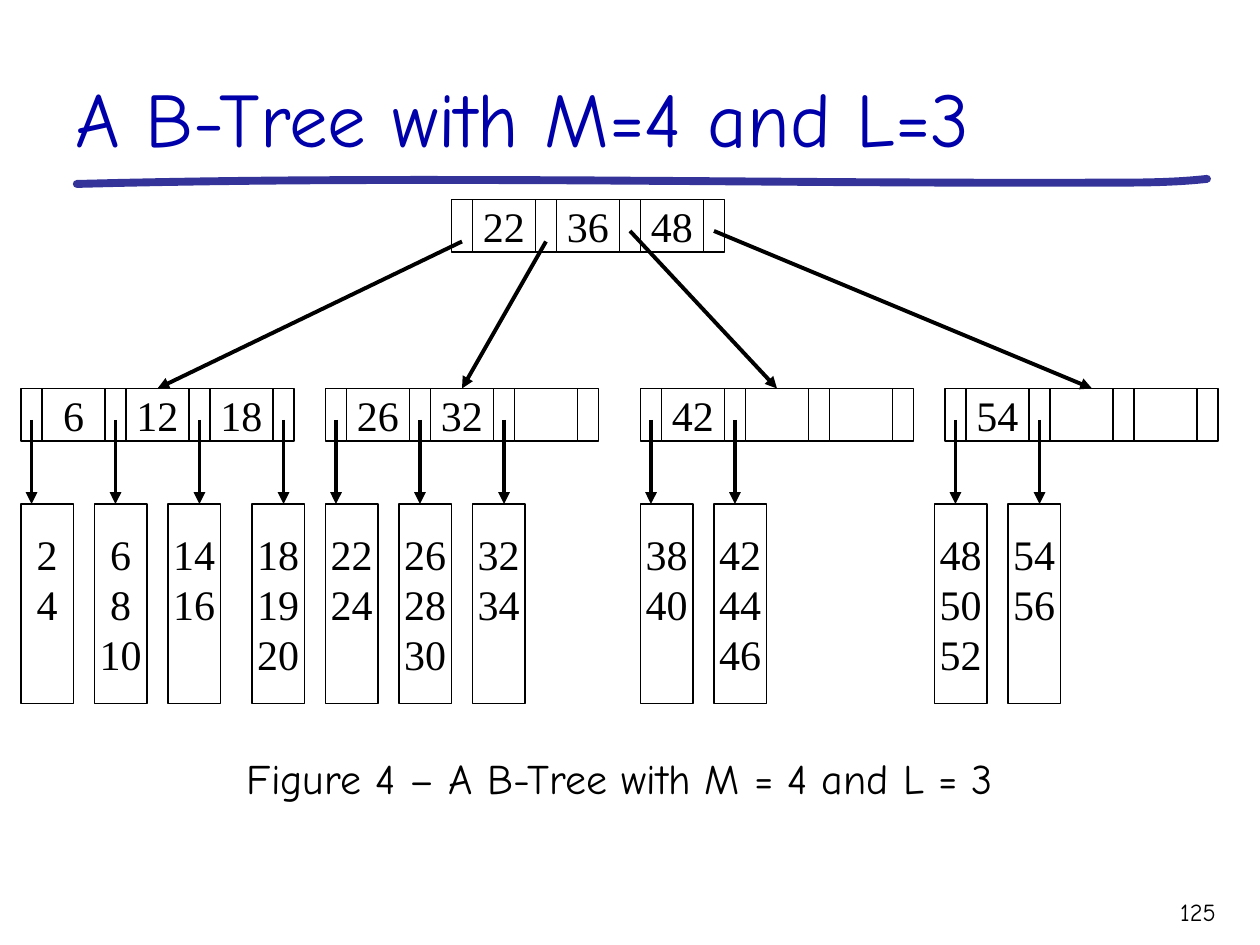
"""Build a slide showing a B-tree with M=4 and L=3."""
import pptx
import pptx.dml.color
import pptx.enum.shapes
import pptx.enum.text
import pptx.oxml
import pptx.oxml.ns
import pptx.util

Inches = pptx.util.Inches
ALIGN = pptx.enum.text.PP_ALIGN
ANCHOR = pptx.enum.text.MSO_ANCHOR

BLACK = "000000"
TITLE_FONT = "Comic Neue"
KEY_FONT = "Times New Roman"
POINTER_WIDTH, KEY_WIDTH, NODE_HEIGHT = 2, 6, 5
STEP = POINTER_WIDTH + KEY_WIDTH
ROOT_LEFT, ROOT_TOP, NODE_TOP = 43, 19, 37
LEAF_TOP, LEAF_WIDTH, LEAF_HEIGHT = 48, 5, 19
ROOT_KEYS = ["22", "36", "48"]
ROOT_ARROWS = [(23, 15), (23, 44), (22, 74), (22, 104)]
NODES = [
    (2, ["6", "12", "18"], [(2, "2\n4"), (9, "6\n8\n10"), (16, "14\n16"), (24, "18\n19\n20")]),
    (31, ["26", "32", ""], [(31, "22\n24"), (38, "26\n28\n30"), (45, "32\n34")]),
    (61, ["42", "", ""], [(61, "38\n40"), (68, "42\n44\n46")]),
    (90, ["54", "", ""], [(89, "48\n50\n52"), (96, "54\n56")]),
]


def color(value):
    """Return the colour for a hex string."""
    return pptx.dml.color.RGBColor.from_string(value)


def grid(units):
    """Return the length of a number of twelfths of an inch."""
    return Inches(units / 12)


def format_text(text_frame, text, font, size, hex_color, align, spacing=None):
    """Fill a text frame and format its paragraphs."""
    text_frame.text = text
    for paragraph in text_frame.paragraphs:
        paragraph.alignment = align
        if spacing:
            paragraph.line_spacing = pptx.util.Pt(spacing)
        for run in paragraph.runs:
            run.font.name = font
            run.font.size = pptx.util.Pt(size)
            run.font.color.rgb = color(hex_color)


def add_text(slide, box, text, size, hex_color, align, anchor=ANCHOR.TOP):
    """Add a wrapped text box in the title font."""
    text_frame = slide.shapes.add_textbox(*map(Inches, box)).text_frame
    text_frame.word_wrap = True
    text_frame.vertical_anchor = anchor
    format_text(text_frame, text, TITLE_FONT, size, hex_color, align)


def add_cell(slide, left, top, width, height, text="", anchor=ANCHOR.MIDDLE):
    """Add an outlined rectangle with optional keys, placed on the grid."""
    shape = slide.shapes.add_shape(
        pptx.enum.shapes.MSO_SHAPE.RECTANGLE, *map(grid, (left, top, width, height)))
    shape.shadow.inherit = False
    shape.fill.background()
    shape.line.color.rgb = color(BLACK)
    shape.line.width = pptx.util.Pt(0.75)
    if text:
        shape.text_frame.word_wrap = False
        shape.text_frame.vertical_anchor = anchor
        format_text(shape.text_frame, text, KEY_FONT, 24, BLACK, ALIGN.CENTER, 28.5)
    return shape


def add_node(slide, left, top, keys):
    """Add a node of alternating pointer and key cells."""
    for index, key in enumerate(keys):
        cell_left = left + STEP * index
        add_cell(slide, cell_left + POINTER_WIDTH, top, KEY_WIDTH, NODE_HEIGHT, key)
        add_cell(slide, cell_left, top, POINTER_WIDTH, NODE_HEIGHT)
    add_cell(slide, left + STEP * len(keys), top, POINTER_WIDTH, NODE_HEIGHT)


def add_leaf(slide, left, keys):
    """Add a leaf whose keys fill it from the first of three rows."""
    leaf = add_cell(slide, left, LEAF_TOP, LEAF_WIDTH, LEAF_HEIGHT, keys, ANCHOR.TOP)
    leaf.text_frame.margin_top = Inches(0.2)


def add_arrow(slide, start_x, start_y, end_x, end_y):
    """Add an arrow between two grid points."""
    arrow = slide.shapes.add_connector(
        pptx.enum.shapes.MSO_CONNECTOR.STRAIGHT, *map(grid, (start_x, start_y, end_x, end_y)))
    arrow.line.color.rgb = color(BLACK)
    arrow.line.width = pptx.util.Pt(2.25)
    head = pptx.oxml.parse_xml(
        f'<a:tailEnd {pptx.oxml.ns.nsdecls("a")} type="triangle"/>')
    arrow.line._get_or_add_ln().append(head)
    effects = pptx.oxml.parse_xml(f'<a:effectLst {pptx.oxml.ns.nsdecls("a")}/>')
    arrow._element.spPr.append(effects)


def curve_points(start, first, second, end, count=24):
    """Return points along a cubic curve, after its start, as lengths."""
    points = []
    for step in range(1, count + 1):
        t = step / count
        weights = ((1 - t) ** 3, 3 * t * (1 - t) ** 2, 3 * t * t * (1 - t), t ** 3)
        points.append(tuple(
            Inches(sum(weight * value for weight, value in zip(weights, values)))
            for values in zip(start, first, second, end)))
    return points


def add_underline(slide):
    """Add the hand-drawn rule below the title."""
    start, bend, end = (0.61, 1.46), (8.76, 1.45), (9.58, 1.42)
    points = curve_points(start, (3.33, 1.39), (6.05, 1.46), bend)
    points += curve_points(bend, (9.04, 1.45), (9.31, 1.45), end)
    builder = slide.shapes.build_freeform(*map(Inches, start))
    builder.add_line_segments(points, close=False)
    shape = builder.convert_to_shape()
    shape.shadow.inherit = False
    shape.fill.background()
    shape.line.color.rgb = color("333399")
    shape.line.width = pptx.util.Pt(4.5)
    outline = shape.line._get_or_add_ln()
    outline.set("cap", "rnd")
    outline.append(pptx.oxml.parse_xml(f'<a:round {pptx.oxml.ns.nsdecls("a")}/>'))


def main():
    """Build and save the slide."""
    presentation = pptx.Presentation()
    presentation.slide_width = Inches(10)
    presentation.slide_height = Inches(7.5)
    slide = presentation.slides.add_slide(presentation.slide_layouts[6])

    add_underline(slide)
    add_text(slide, (0.5, 0.17, 9.25, 1.17), "A B-Tree with M=4 and L=3",
             44, "0000AA", ALIGN.LEFT, ANCHOR.BOTTOM)
    add_text(slide, (8.75, 7.07, 1, 0.35), "125", 14, BLACK, ALIGN.RIGHT)
    add_text(slide, (0.17, 5.92, 9.5, 0.5), "Figure 4 – A B-Tree with M = 4 and L = 3",
             24, BLACK, ALIGN.CENTER)

    add_node(slide, ROOT_LEFT, ROOT_TOP, ROOT_KEYS)
    for left, keys, leaves in NODES:
        add_node(slide, left, NODE_TOP, keys)
        for index, (leaf_left, leaf_keys) in enumerate(leaves):
            add_leaf(slide, leaf_left, leaf_keys)
            pointer = left + 1 + STEP * index
            add_arrow(slide, pointer, NODE_TOP + 3, pointer, LEAF_TOP)
    for index, (start_y, end_x) in enumerate(ROOT_ARROWS):
        add_arrow(slide, ROOT_LEFT + 1 + STEP * index, start_y, end_x, NODE_TOP)

    presentation.save("out.pptx")


if __name__ == "__main__":
    main()
